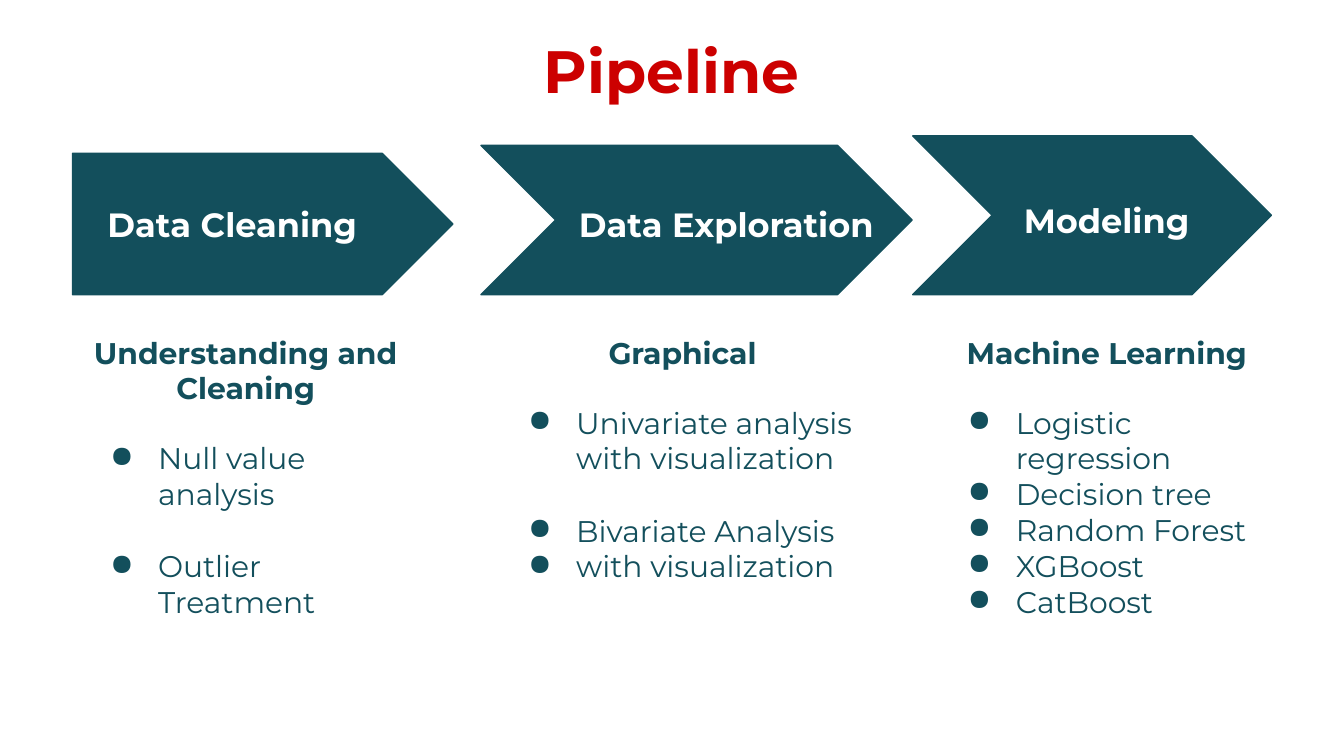
from dataclasses import dataclass

from lxml.etree import SubElement
from pptx import Presentation
from pptx.dml.color import RGBColor
from pptx.enum.shapes import MSO_SHAPE
from pptx.enum.text import MSO_ANCHOR, PP_ALIGN
from pptx.oxml.ns import qn
from pptx.slide import Slide
from pptx.text.text import TextFrame
from pptx.util import Cm, Pt

TEAL = RGBColor(0x13, 0x4F, 0x5C)
RED = RGBColor(0xCC, 0x00, 0x00)
WHITE = RGBColor(0xFF, 0xFF, 0xFF)

ARROW_BOTTOM = 5.57
DETAILS_TOP = 6.07
INSET = 0.25


@dataclass(frozen=True)
class Arrow:
    kind: MSO_SHAPE
    left: float
    width: float
    height: float


@dataclass(frozen=True)
class Label:
    text: str
    left: float
    top: float
    width: float


@dataclass(frozen=True)
class Bullet:
    text: str
    gap: float = 0  # points above the bullet


@dataclass(frozen=True)
class Details:
    heading: str
    left: float
    width: float
    height: float
    bullets: tuple[Bullet, ...]


@dataclass(frozen=True)
class Stage:
    arrow: Arrow
    label: Label
    details: Details


STAGES = (
    Stage(
        Arrow(MSO_SHAPE.PENTAGON, 1.37, 7.19, 2.67),
        Label("Data Cleaning", 1.78, 3.61, 5.44),
        Details("Understanding and Cleaning", 1.47, 6.35, 5.94, (
            Bullet("Null value analysis", 18.3),
            Bullet("Outlier Treatment", 19.5),
        )),
    ),
    Stage(
        Arrow(MSO_SHAPE.CHEVRON, 9.09, 8.15, 2.82),
        Label("Data Exploration", 10.69, 3.61, 6.12),
        Details("Graphical", 9.37, 7.06, 5.26, (
            Bullet("Univariate analysis with visualization", 18.3),
            Bullet("Bivariate Analysis", 19.5),
            Bullet("with visualization"),
        )),
    ),
    Stage(
        Arrow(MSO_SHAPE.CHEVRON, 17.25, 6.78, 3),
        Label("Modeling", 19.1, 3.53, 5.44),
        Details("Machine Learning", 17.68, 6.48, 5.94, (
            Bullet("Logistic regression", 18.3),
            Bullet("Decision tree"),
            Bullet("Random Forest"),
            Bullet("XGBoost"),
            Bullet("CatBoost"),
        )),
    ),
)


def add_text_box(slide: Slide, left: float, top: float, width: float, height: float) -> TextFrame:
    text_box = slide.shapes.add_textbox(Cm(left), Cm(top), Cm(width), Cm(height))
    frame_format = {
        "word_wrap": True,
        "vertical_anchor": MSO_ANCHOR.TOP,
        "margin_left": Cm(INSET),
        "margin_top": Cm(INSET),
        "margin_right": Cm(INSET),
        "margin_bottom": Cm(INSET),
    }
    for name, value in frame_format.items():
        setattr(text_box.text_frame, name, value)
    return text_box.text_frame


def write(paragraph, text: str, size: float, color: RGBColor, bold: bool = True,
          alignment: PP_ALIGN = PP_ALIGN.LEFT) -> None:
    paragraph.alignment = alignment
    run = paragraph.add_run()
    run.text = text
    font_format = {"name": "Montserrat", "size": Pt(size), "bold": bold}
    for name, value in font_format.items():
        setattr(run.font, name, value)
    run.font.color.rgb = color


def add_bullet(paragraph, color: RGBColor) -> None:
    properties = paragraph._p.get_or_add_pPr()
    properties.set("marL", str(Cm(1.27)))
    properties.set("indent", str(Cm(-0.91)))
    bullet_color = SubElement(properties, qn("a:buClr"))
    SubElement(bullet_color, qn("a:srgbClr"), val=str(color))
    SubElement(properties, qn("a:buChar"), char="●")


def draw_arrow(slide: Slide, arrow: Arrow) -> None:
    shape = slide.shapes.add_shape(
        arrow.kind, Cm(arrow.left), Cm(ARROW_BOTTOM - arrow.height), Cm(arrow.width), Cm(arrow.height))
    shape.shadow.inherit = False
    shape.fill.solid()
    shape.fill.fore_color.rgb = TEAL
    shape.line.color.rgb = TEAL
    shape.line.width = Pt(0.75)


def draw_label(slide: Slide, label: Label) -> None:
    frame = add_text_box(slide, label.left, label.top, label.width, 1.27)
    write(frame.paragraphs[0], label.text, 18, WHITE)


def draw_details(slide: Slide, details: Details) -> None:
    frame = add_text_box(slide, details.left, DETAILS_TOP, details.width, details.height)
    write(frame.paragraphs[0], details.heading, 16, TEAL, alignment=PP_ALIGN.CENTER)
    for bullet in details.bullets:
        paragraph = frame.add_paragraph()
        paragraph.space_before = Pt(bullet.gap)
        write(paragraph, bullet.text, 16, TEAL, bold=False)
        add_bullet(paragraph, TEAL)


def main() -> None:
    presentation = Presentation()
    presentation.slide_width = Cm(25.4)
    presentation.slide_height = Cm(14.29)
    slide = presentation.slides.add_slide(presentation.slide_layouts[6])

    # Title
    title = add_text_box(slide, 0.86, 0.38, 23.67, 1.6)
    write(title.paragraphs[0], "Pipeline", 32, RED, alignment=PP_ALIGN.CENTER)

    # Arrows lie behind every label
    for stage in STAGES:
        draw_arrow(slide, stage.arrow)

    # Labels and details
    for stage in STAGES:
        draw_label(slide, stage.label)
        draw_details(slide, stage.details)

    presentation.save("out.pptx")


if __name__ == "__main__":
    main()
